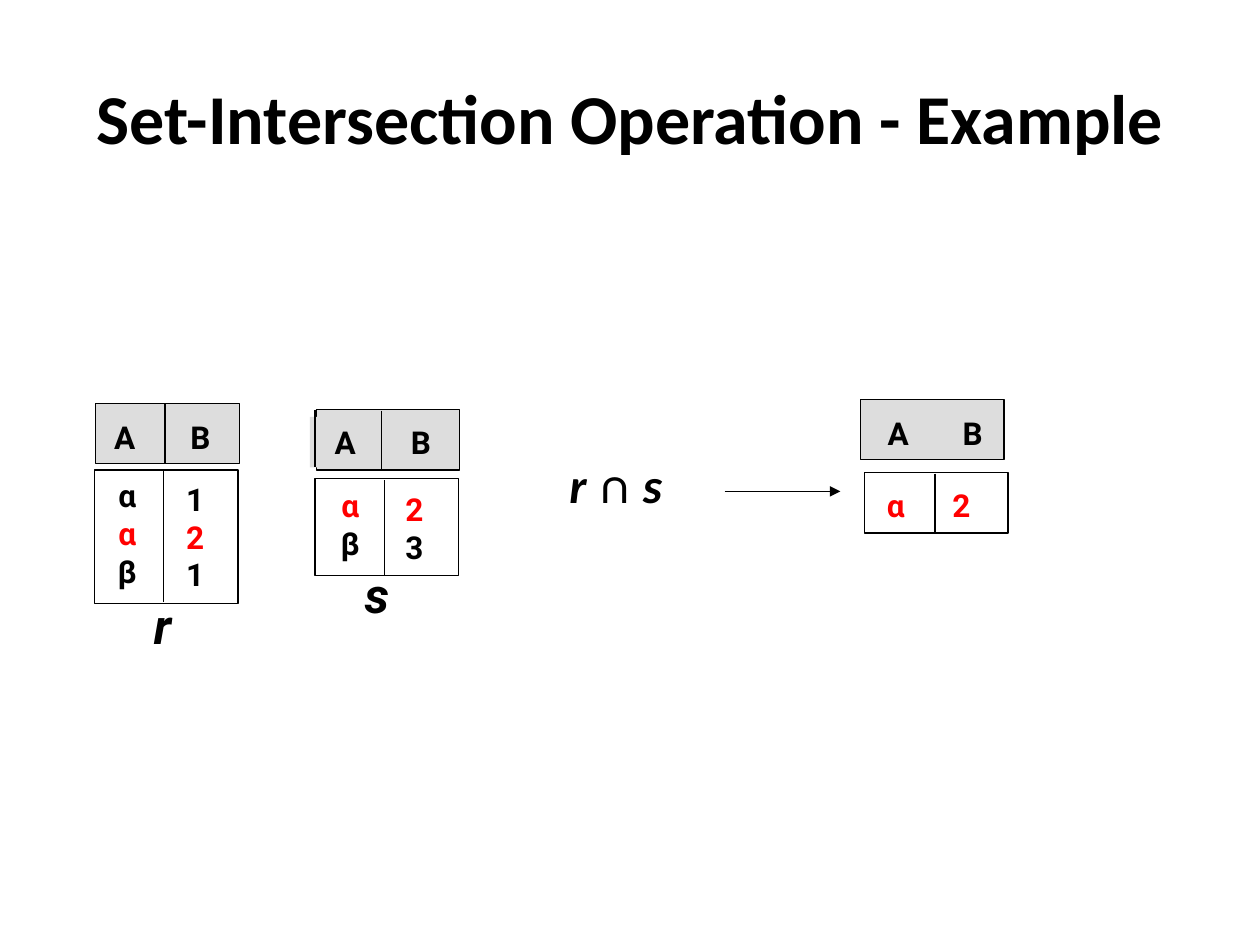
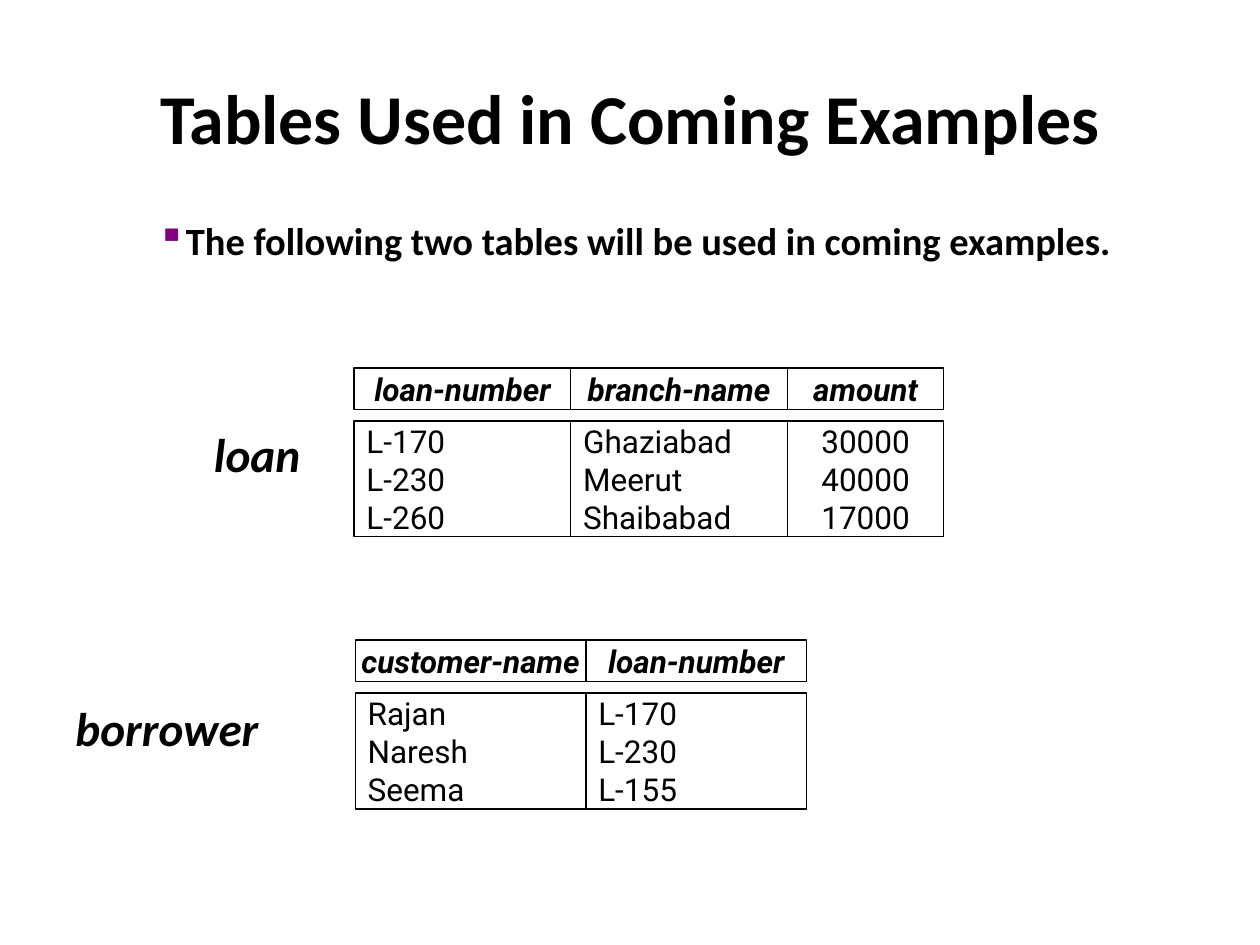
import pptx
import pptx.util
import pptx.dml.color
import pptx.enum.shapes
import pptx.enum.text
from dataclasses import dataclass
from lxml import etree
from pptx.util import Inches


@dataclass(frozen=True)
class Theme:
    black: str = "000000"
    white: str = "FFFFFF"
    grey: str = "DDDDDD"
    red: str = "FF0000"
    purple: str = "800080"
    heading_font: str = "Calibri"
    cell_font: str = "Roboto"
    title_size: float = 40
    name_size: float = 28
    label_size: float = 27
    bullet_size: float = 22
    cell_size: float = 18
    line_width: float = 0.75


T = Theme()
RGB = pptx.dml.color.RGBColor.from_string
LEFT = pptx.enum.text.PP_ALIGN.LEFT
CENTER = pptx.enum.text.PP_ALIGN.CENTER
TOP = pptx.enum.text.MSO_ANCHOR.TOP
MIDDLE = pptx.enum.text.MSO_ANCHOR.MIDDLE
RECT = pptx.enum.shapes.MSO_SHAPE.RECTANGLE
STRAIGHT = pptx.enum.shapes.MSO_CONNECTOR.STRAIGHT


def add_box(s, x, y, w, h, paragraphs=(), fill=None, border=True, size=T.cell_size,
            font=T.cell_font, bold=False, italic=False, align=CENTER, anchor=TOP, wrap=False):
    """Add a filled rectangle, or a text box when fill is None.

    Each paragraph is a list of runs: (text, colour) or (text, colour, italic).
    """
    place = [Inches(v) for v in (x, y, w, h)]
    if fill:
        sp = s.shapes.add_shape(RECT, *place)
        sp.shadow.inherit = False
        sp.fill.solid()
        sp.fill.fore_color.rgb = RGB(fill)
        if border:
            sp.line.color.rgb = RGB(T.black)
            sp.line.width = pptx.util.Pt(T.line_width)
        else:
            sp.line.fill.background()
    else:
        sp = s.shapes.add_textbox(*place)
    tf = sp.text_frame
    tf.word_wrap = wrap
    tf.vertical_anchor = anchor
    for i, runs in enumerate(paragraphs):
        p = tf.add_paragraph() if i else tf.paragraphs[0]
        p.alignment = align
        for text, color, *slant in runs:
            r = p.add_run()
            r.text = text
            r.font.name = font
            r.font.size = pptx.util.Pt(size)
            r.font.bold = bold
            r.font.italic = slant[0] if slant else italic
            r.font.color.rgb = RGB(color)
    return sp


def add_line(s, x1, y1, x2, y2, arrow=False):
    cx = s.shapes.add_connector(STRAIGHT, *[Inches(v) for v in (x1, y1, x2, y2)])
    cx.line.color.rgb = RGB(T.black)
    cx.line.width = pptx.util.Pt(T.line_width)
    if arrow:
        ln = cx.line._get_or_add_ln()
        etree.SubElement(ln, pptx.oxml.ns.qn("a:tailEnd"), type="triangle")
    etree.SubElement(cx._element.spPr, pptx.oxml.ns.qn("a:effectLst"))


prs = pptx.Presentation()
prs.slide_width, prs.slide_height = Inches(10), Inches(7.5)

# Slides and their shared title
slides = []
for title in ("Set-Intersection Operation - Example", "Tables Used in Coming Examples"):
    s = prs.slides.add_slide(prs.slide_layouts[6])
    add_box(s, 0.5, 0.3, 9, 1.25, [[(title, T.black)]], size=T.title_size,
            font=T.heading_font, bold=True, anchor=MIDDLE, wrap=True)
    slides.append(s)
intersection, tables = slides

# Slide 1: relations r, s and the result.
# header (x, y), header label top, body (x, y, height), divider xs (header, body),
# centres of header labels, body columns as (centre, top, values)
s = intersection
width, header_height, label_width = 1.14, 0.48, 0.4
alpha, red_alpha, beta = ("α", T.black), ("α", T.red), ("β", T.black)
one, red_two, three = ("1", T.black), ("2", T.red), ("3", T.black)
relations = [
    ((0.76, 3.2), 3.27, (0.75, 3.73, 1.06), (1.31, 1.3), (0.99, 1.59),
     [(1.01, 3.73, [alpha, red_alpha, beta]), (1.55, 3.76, [one, red_two, one])]),
    ((2.51, 3.25), 3.31, (2.5, 3.8, 0.77), (3.03, 3.05), (2.74, 3.34),
     [(2.78, 3.81, [red_alpha, beta]), (3.29, 3.84, [red_two, three])]),
    ((6.83, 3.17), 3.24, (6.86, 3.75, 0.48), (None, 7.42), (7.13, 7.72),
     [(7.11, 3.81, [red_alpha]), (7.63, 3.81, [red_two])]),
]
for (hx, hy), label_y, (bx, by, body_height), (hdiv, bdiv), centres, columns in relations:
    add_box(s, hx, hy, width, header_height, fill=T.grey)
    if hx == 2.51:  # shaded strip and edge of the s header
        add_box(s, 2.46, 3.31, 1.11, 0.4, fill=T.grey, border=False)
        add_line(s, 2.5, 3.25, 2.5, 3.71)
    for name, centre in zip("AB", centres):
        add_box(s, centre - label_width / 2, label_y, label_width, 0.4,
                [[(name, T.black)]], bold=True)
    if hdiv:
        add_line(s, hdiv, hy + 0.01, hdiv, hy + header_height)
    add_box(s, bx, by, width, body_height, fill=T.white)
    add_line(s, bdiv, by + 0.01, bdiv, by + body_height - 0.01)
    for centre, top, values in columns:
        add_box(s, centre - label_width / 2, top, label_width, 0.1 + 0.3 * len(values),
                [[value] for value in values], bold=True)

# Relation names, expression and arrow
for name, x, y in (("r", 1.08, 4.68), ("s", 2.78, 4.43)):
    add_box(s, x, y, 0.42, 0.57, [[(name, T.black)]], size=T.name_size, bold=True, italic=True)
add_box(s, 4.42, 3.56, 1.25, 0.57,
        [[("r ", T.black, True), ("∩ ", T.black, False), ("s", T.black, True)]],
        size=T.name_size, font=T.heading_font, bold=True, align=LEFT, wrap=True)
add_line(s, 5.75, 3.9, 6.67, 3.9, arrow=True)

# Slide 2: bullet line
s = tables
sp = add_box(s, 1.15, 1.67, 7.98, 0.47,
             [[("The following two tables will be used in coming examples.", T.black)]],
             size=T.bullet_size, font=T.heading_font, bold=True, align=LEFT, wrap=True)
pPr = sp.text_frame.paragraphs[0]._p.get_or_add_pPr()
pPr.set("marL", str(Inches(0.18)))
pPr.set("indent", str(-Inches(0.18)))
bullet_color = etree.SubElement(pPr, pptx.oxml.ns.qn("a:buClr"))
etree.SubElement(bullet_color, pptx.oxml.ns.qn("a:srgbClr"), val=T.purple)
etree.SubElement(pPr, pptx.oxml.ns.qn("a:buChar"), char="▪")

# Loan and borrower tables, built from framed columns with a gap below the header
# name, name box (x, y, w), left, top, columns as (heading, width, alignment, values)
sample_tables = [
    ("loan", (1.6, 3.33, 1.24), 2.81, 2.92, [
        ("loan-number", 1.72, LEFT, ["L-170", "L-230", "L-260"]),
        ("branch-name", 1.72, LEFT, ["Ghaziabad", "Meerut", "Shaibabad"]),
        ("amount", 1.24, CENTER, ["30000", "40000", "17000"])]),
    ("borrower", (0.5, 5.5, 1.99), 2.82, 5.08, [
        ("customer-name", 1.83, LEFT, ["Rajan", "Naresh", "Seema"]),
        ("loan-number", 1.75, LEFT, ["L-170", "L-230", "L-155"])]),
]
for name, (name_x, name_y, name_w), x, top, columns in sample_tables:
    add_box(s, name_x, name_y, name_w, 0.5, [[(name, T.black)]], size=T.label_size,
            font=T.heading_font, bold=True, italic=True, align=LEFT, wrap=True)
    for heading, col_width, align, values in columns:
        add_box(s, x, top, col_width, 0.33, [[(heading, T.black)]], fill=T.white,
                bold=True, italic=True, anchor=MIDDLE)
        add_box(s, x, top + 0.42, col_width, 0.92, [[(value, T.black)] for value in values],
                fill=T.white, align=align, anchor=MIDDLE)
        x += col_width

prs.save("out.pptx")
